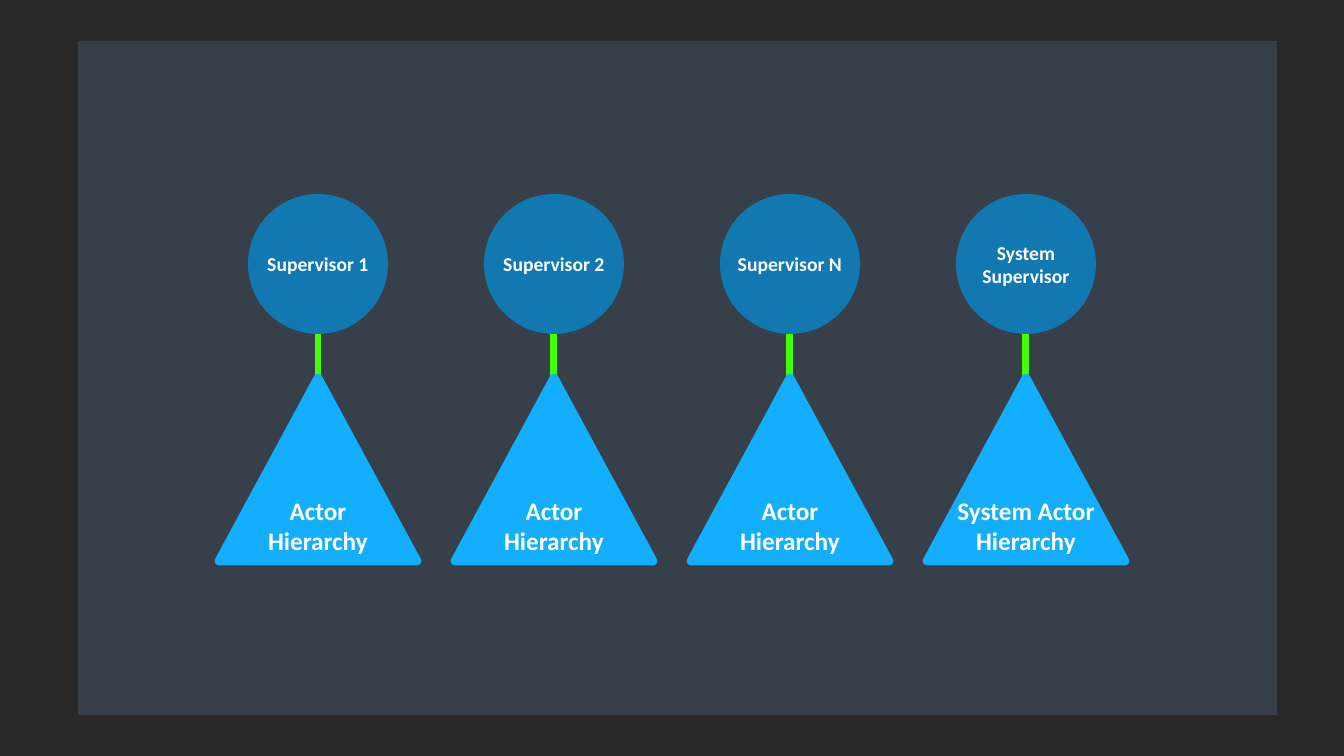
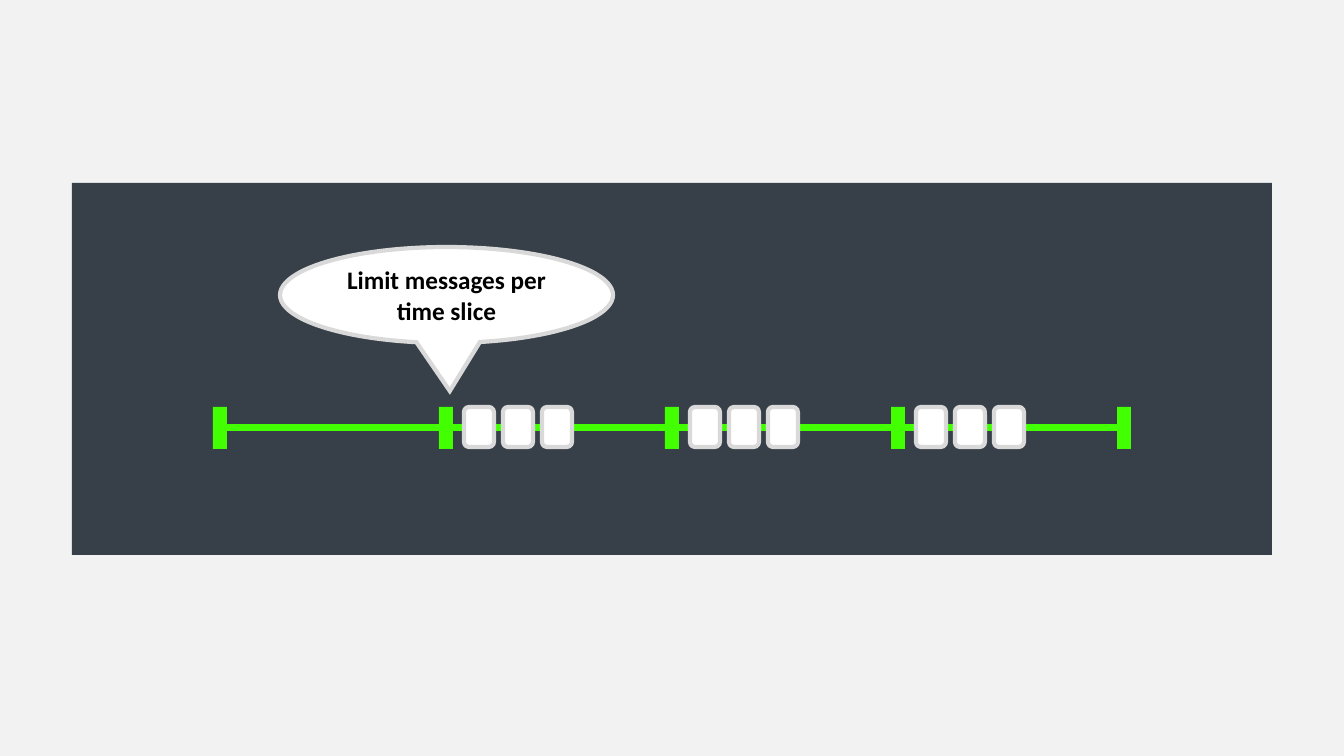
from lxml import etree
from pptx import Presentation
from pptx import util as u
from pptx.dml.color import RGBColor
from pptx.enum import shapes, text
from pptx.oxml.ns import qn

# Shared style
EMU_PER_PX = 12192000 / 1344
FONT = "Calibri"
DARK = RGBColor(0x28, 0x28, 0x28)
LIGHT = RGBColor(0xF2, 0xF2, 0xF2)
SLATE = RGBColor(0x37, 0x3F, 0x48)
GREEN = RGBColor(0x42, 0xFF, 0x02)
SKY = RGBColor(0x14, 0xAE, 0xFF)
BLUE = RGBColor(0x11, 0x78, 0xB2)
GREY = RGBColor(0xD9, 0xD9, 0xD9)
WHITE = RGBColor(0xFF, 0xFF, 0xFF)
BLACK = RGBColor(0, 0, 0)

KIND = shapes.MSO_SHAPE
ANCHOR = text.MSO_ANCHOR


def px(length):
    return u.Emu(round(length * EMU_PER_PX))


def add_page(deck, background, panel):
    """Add a page with a plain background and one slate panel."""
    page = deck.slides.add_slide(deck.slide_layouts[6])
    page.background.fill.solid()
    page.background.fill.fore_color.rgb = background
    add_box(page, KIND.RECTANGLE, panel, SLATE)
    return page


def add_box(page, kind, area, fill, line=None, width=0, join="round"):
    box = page.shapes.add_shape(kind, *map(px, area))
    box.shadow.inherit = False
    box.fill.solid()
    box.fill.fore_color.rgb = fill
    if line is None:
        box.line.fill.background()
    else:
        box.line.color.rgb = line
        box.line.width = u.Pt(width)
        etree.SubElement(box.line._get_or_add_ln(), qn(f"a:{join}"))
    return box


def add_line(page, start, end):
    line = page.shapes.add_connector(
        shapes.MSO_CONNECTOR.STRAIGHT, *map(px, start + end))
    line.line.color.rgb = GREEN
    line.line.width = u.Pt(5)
    etree.SubElement(line._element.spPr, qn("a:effectLst"))
    return line


def write(box, lines, size, color, anchor=ANCHOR.MIDDLE, wrap=False):
    frame = box.text_frame
    frame.word_wrap = wrap
    frame.vertical_anchor = anchor
    for index, words in enumerate(lines):
        para = frame.add_paragraph() if index else frame.paragraphs[0]
        para.alignment = text.PP_ALIGN.CENTER
        span = para.add_run()
        span.text = words
        span.font.name = FONT
        span.font.size = u.Pt(size)
        span.font.bold = True
        span.font.color.rgb = color


def add_supervisor(page, center, name, hierarchy):
    """Add a supervisor circle joined to its actor triangle."""
    circle_top, diameter = 194, 140
    triangle_top, base, height = 378, 198, 183
    line = add_line(page, (center, circle_top + diameter), (center, triangle_top))
    triangle = add_box(page, KIND.ISOSCELES_TRIANGLE,
                       (center - base // 2, triangle_top, base, height),
                       SKY, SKY, 6.25)
    write(triangle, hierarchy, 18, WHITE, ANCHOR.BOTTOM)
    line.end_connect(triangle, 0)
    circle = add_box(page, KIND.OVAL,
                     (center - diameter // 2, circle_top, diameter, diameter), BLUE)
    write(circle, name, 14, WHITE)


def add_supervisors(deck):
    page = add_page(deck, DARK, (78, 41, 1199, 674))
    actors = ["Actor", "Hierarchy"]
    supervisors = [
        (["Supervisor 1"], actors),
        (["Supervisor 2"], actors),
        (["Supervisor N"], actors),
        (["System", "Supervisor"], ["System Actor", "Hierarchy"]),
    ]
    for column, (name, hierarchy) in enumerate(supervisors):
        add_supervisor(page, 318 + 236 * column, name, hierarchy)


def add_time_slices(deck):
    page = add_page(deck, LIGHT, (72, 183, 1200, 372))

    # Time axis, joined to its first and last tick
    axis = add_line(page, (227, 428), (1117, 428))
    tick_lefts = [213 + 226 * index for index in range(5)]
    ticks = [add_box(page, KIND.RECTANGLE, (left, 407, 14, 42), GREEN)
             for left in tick_lefts]
    axis.begin_connect(ticks[0], 3)
    axis.end_connect(ticks[-1], 1)

    # Three messages in each later slice
    for left in tick_lefts[1:-1]:
        for index in range(3):
            add_box(page, KIND.ROUNDED_RECTANGLE,
                    (left + 25 + 39 * index, 407, 30, 40), WHITE, GREY, 3)

    # Callout
    callout = add_box(page, KIND.OVAL_CALLOUT, (280, 247, 333, 96),
                      WHITE, GREY, 3, "miter")
    callout.adjustments[0] = 0.01
    callout.adjustments[1] = 1
    write(callout, ["Limit messages per time slice"], 18, BLACK, wrap=True)


def main():
    deck = Presentation()
    deck.slide_width, deck.slide_height = px(1344), px(756)
    add_supervisors(deck)
    add_time_slices(deck)
    deck.save("out.pptx")


if __name__ == "__main__":
    main()
